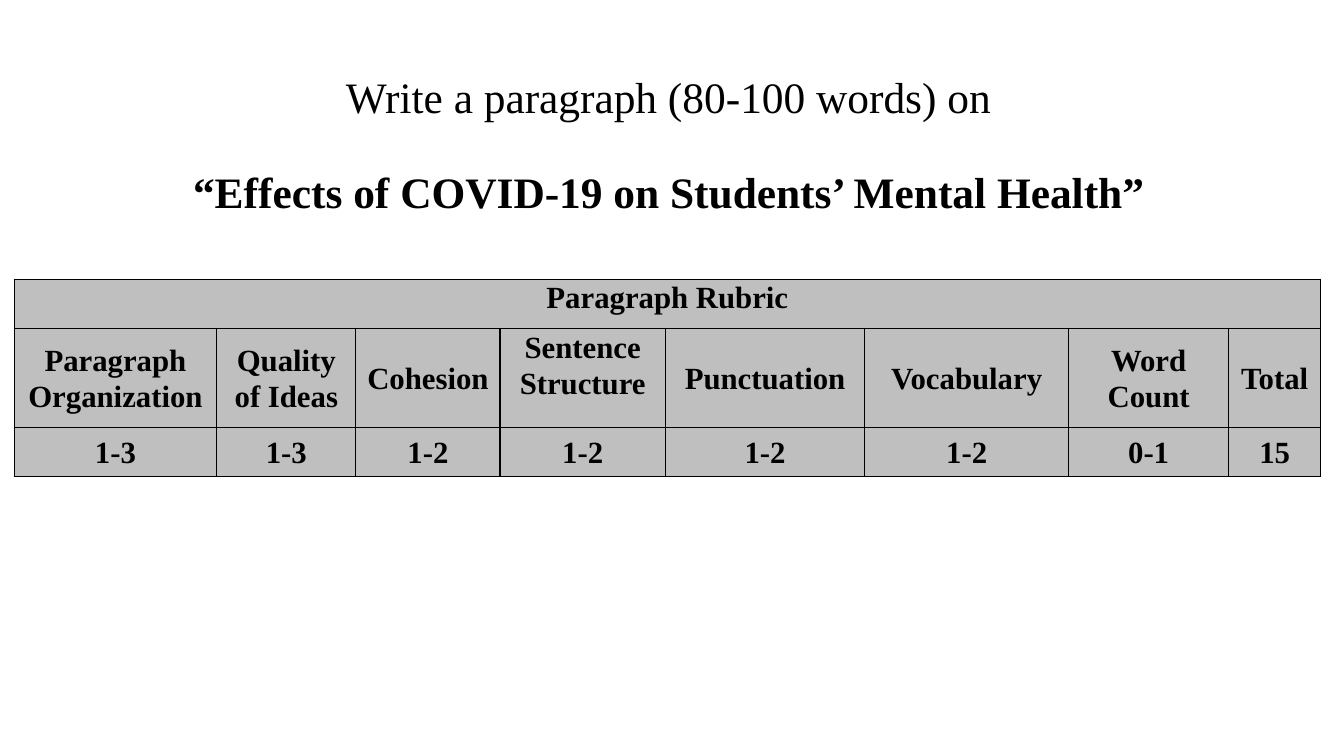
from lxml import etree
from pptx import Presentation
from pptx.dml.color import RGBColor
from pptx.enum.text import MSO_ANCHOR, PP_ALIGN
from pptx.oxml.ns import qn
from pptx.util import Inches, Pt

CENTER = PP_ALIGN.CENTER
TOP, MIDDLE = MSO_ANCHOR.TOP, MSO_ANCHOR.MIDDLE

RUBRIC_TITLE = "Paragraph Rubric"
CRITERIA = [
    ("Paragraph Organization", "1-3", 15.08),
    ("Quality of Ideas", "1-3", 10.35),
    ("Cohesion", "1-2", 10.73),
    ("Sentence Structure", "1-2", 12.3),
    ("Punctuation", "1-2", 14.85),
    ("Vocabulary", "1-2", 15.15),
    ("Word Count", "0-1", 11.93),
    ("Total", "15", 6.83),
]
ROW_HEIGHTS = [6.53, 13.07, 6.53]
TOP_ANCHORED = {RUBRIC_TITLE, "Sentence Structure"}


def color(hex_value):
    return RGBColor.from_string(hex_value)


def write(paragraph, text, *, size, font, ink, bold=False, spacing=1.0, before=0):
    paragraph.alignment = CENTER
    paragraph.line_spacing = spacing
    paragraph.space_before = Pt(before)
    run = paragraph.add_run()
    run.text = text
    run.font.name = font
    run.font.size = Pt(size)
    run.font.bold = bold
    run.font.color.rgb = color(ink)


class SlideBuilder:
    font = "Times New Roman"
    ink = "000000"
    cell_fill = "BFBFBF"
    grid = 100

    def __init__(self, deck):
        self.column = deck.slide_width / self.grid
        self.row = deck.slide_height / self.grid
        self.slide = deck.slides.add_slide(deck.slide_layouts[6])

    def across(self, columns):
        return round(columns * self.column)

    def down(self, rows):
        return round(rows * self.row)

    def heading(self, left, top, width, height, lines):
        box = self.slide.shapes.add_textbox(
            self.across(left), self.down(top), self.across(width), self.down(height))
        frame = box.text_frame
        frame.word_wrap = True
        frame.vertical_anchor = MIDDLE
        for index, (text, bold) in enumerate(lines):
            paragraph = frame.add_paragraph() if index else frame.paragraphs[0]
            write(paragraph, text, size=31, font=self.font, ink=self.ink,
                  bold=bold, spacing=0.9, before=34 if index else 0)

    def border(self, cell):
        properties = cell._tc.get_or_add_tcPr()
        for side in ("a:lnL", "a:lnR", "a:lnT", "a:lnB"):
            line = etree.SubElement(properties, qn(side), w=str(Pt(1)))
            fill = etree.SubElement(line, qn("a:solidFill"))
            etree.SubElement(fill, qn("a:srgbClr"), val=self.ink)

    def cell(self, cell, text):
        self.border(cell)
        cell.fill.solid()
        cell.fill.fore_color.rgb = color(self.cell_fill)
        cell.margin_left = cell.margin_right = Inches(0.07)
        cell.margin_top = cell.margin_bottom = 0
        cell.vertical_anchor = TOP if text in TOP_ANCHORED else MIDDLE
        if text:
            write(cell.text_frame.paragraphs[0], text, size=22, font=self.font,
                  ink=self.ink, bold=True, spacing=1.07)

    def rubric(self, left, top, title, criteria, heights):
        names, scores, widths = zip(*criteria)
        contents = [[title] + [""] * (len(names) - 1), names, scores]
        table = self.slide.shapes.add_table(
            len(heights), len(widths), self.across(left), self.down(top),
            self.across(sum(widths)), self.down(sum(heights))).table
        table.first_row = table.horz_banding = False
        for column, width in zip(table.columns, widths):
            column.width = self.across(width)
        for row, height, texts in zip(table.rows, heights, contents):
            row.height = self.down(height)
            for cell, text in zip(row.cells, texts):
                self.cell(cell, text)
        table.cell(0, 0).merge(table.cell(0, len(widths) - 1))


def main():
    deck = Presentation()
    deck.slide_width, deck.slide_height = Inches(13.33), Inches(7.5)
    builder = SlideBuilder(deck)
    builder.heading(6.6, 5.33, 86.25, 28.27, [
        ("Write a paragraph (80-100 words) on", False),
        ("“Effects of COVID-19 on Students’ Mental Health”", True),
    ])
    builder.rubric(1.05, 36.93, RUBRIC_TITLE, CRITERIA, ROW_HEIGHTS)
    deck.save("out.pptx")


if __name__ == "__main__":
    main()
